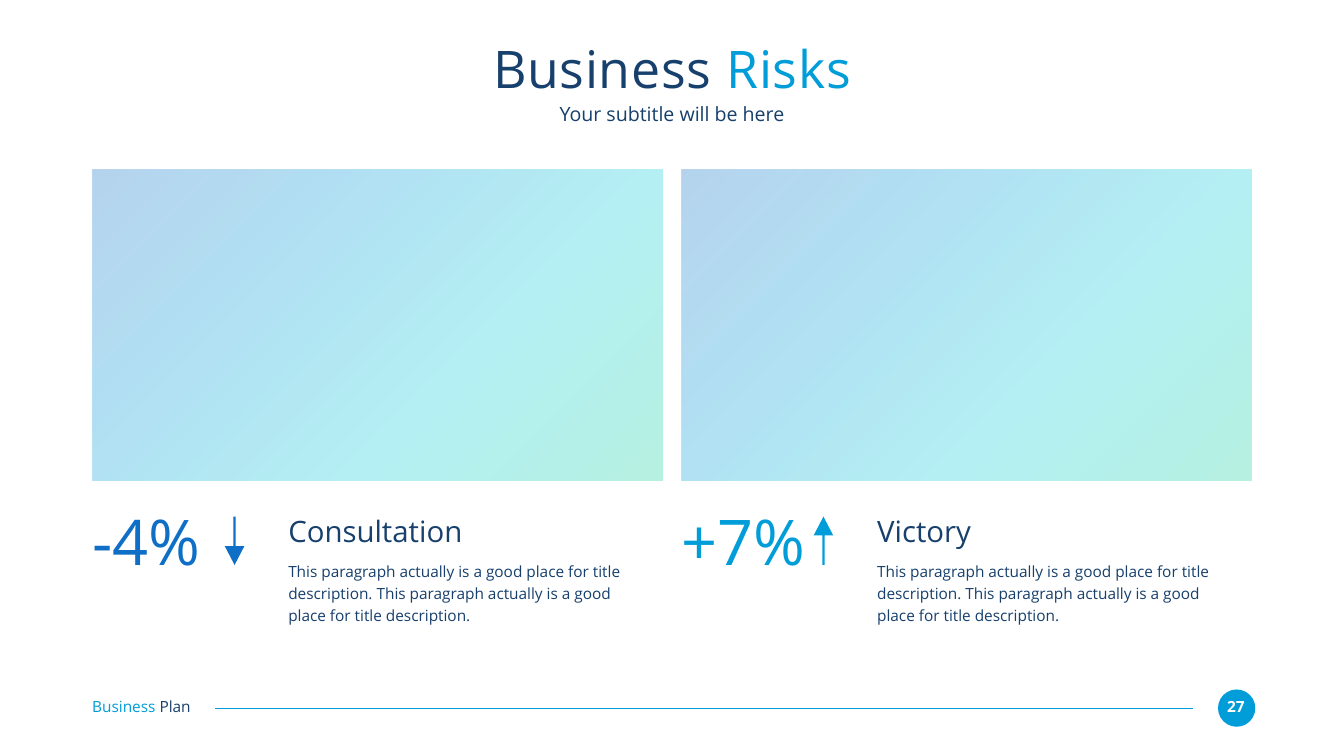
from lxml import etree
from pptx import Presentation, util as u
from pptx.dml.color import RGBColor
from pptx.enum import shapes, text
from pptx.oxml import parse_xml
from pptx.oxml.ns import nsdecls, qn

DESCRIPTION = ("This paragraph actually is a good place for title description. "
               "This paragraph actually is a good place for title description.")
TITLE = [("Business ", "navy"), ("Risks", "sky")]
SUBTITLE = "Your subtitle will be here"
RISKS = [
    {"change": "-4%", "color": "blue", "turn": 0, "heading": "Consultation"},
    {"change": "+7%", "color": "sky", "turn": 180, "heading": "Victory"},
]
FOOTER = [("Business ", "sky"), ("Plan", "navy")]
PAGE = "27"

THEME = {
    "font": "Open Sans",
    "colors": {"navy": "17406D", "sky": "009DD9", "blue": "0F6FC6", "white": "FFFFFF"},
    "sizes": {"title": 74, "subtitle": 28, "change": 90, "heading": 42, "body": 22},
    "gradient": [(0, "0F6FC6"), (33, "009DD9"), (66, "0BD0D9"), (100, "10CF9B")],
    "opacity": 30,
}

WIDTH, HEIGHT = 26.67, 15
MARGIN, GAP = 1.83, 0.36
CONTENT = WIDTH - 2 * MARGIN
COLUMN = (CONTENT - GAP) / 2
ROWS = {"title": 0.73, "subtitle": 2.03, "panel": 3.36, "change": 9.98,
        "heading": 10.19, "arrow": 10.25, "body": 11.07, "footer": 13.84}
ARROW_INDENT, TEXT_INDENT, TEXT_WIDTH = 2.63, 3.89, 6.92
BADGE = 0.74
FOOTER_AXIS = 14.05


def inches(*lengths):
    return [u.Inches(length) for length in lengths]


def color(name):
    return RGBColor.from_string(THEME["colors"][name])


def add_text(slide, box, runs, size, align="LEFT", line_spacing=None, spacing=0, bold=None):
    """Add one paragraph made of (wording, color name) runs."""
    frame = slide.shapes.add_textbox(*inches(*box)).text_frame
    frame_format = {"margin_left": 0, "margin_right": 0, "margin_top": 0,
                    "margin_bottom": 0, "word_wrap": True}
    for name, value in frame_format.items():
        setattr(frame, name, value)
    paragraph = frame.paragraphs[0]
    paragraph.alignment = getattr(text.PP_ALIGN, align)
    paragraph.line_spacing = line_spacing
    for wording, color_name in runs:
        run = paragraph.add_run()
        run.text = wording
        run_format = {"name": THEME["font"], "size": u.Pt(THEME["sizes"][size]), "bold": bold}
        for name, value in run_format.items():
            setattr(run.font, name, value)
        run.font.color.rgb = color(color_name)
        if spacing:
            run.font._element.set("spc", str(spacing * 100))


def add_shape(slide, kind, box, fill=None):
    shape = slide.shapes.add_shape(kind, *inches(*box))
    shape.shadow.inherit = False
    shape.line.fill.background()
    if fill:
        shape.fill.solid()
        shape.fill.fore_color.rgb = color(fill)
    return shape


def add_panel(slide, box):
    """Add a rectangle with the translucent diagonal gradient."""
    panel = add_shape(slide, shapes.MSO_SHAPE.RECTANGLE, box)
    stops = "".join(
        f'<a:gs pos="{place * 1000}"><a:srgbClr val="{value}">'
        f'<a:alpha val="{THEME["opacity"] * 1000}"/></a:srgbClr></a:gs>'
        for place, value in THEME["gradient"])
    gradient = parse_xml(f'<a:gradFill {nsdecls("a")} rotWithShape="1"><a:gsLst>{stops}</a:gsLst>'
                         '<a:lin ang="2700000" scaled="0"/></a:gradFill>')
    panel._element.spPr.find(qn("a:prstGeom")).addnext(gradient)


def add_risk(slide, left, risk):
    add_panel(slide, (left, ROWS["panel"], COLUMN, 6.18))
    add_text(slide, (left, ROWS["change"], 2.55, 1.51), [(risk["change"], risk["color"])], "change")
    arrow = add_shape(slide, shapes.MSO_SHAPE.DOWN_ARROW,
                      (left + ARROW_INDENT, ROWS["arrow"], 0.39, 0.96), risk["color"])
    arrow.adjustments[0], arrow.adjustments[1] = 0.11, 0.96
    arrow.rotation = risk["turn"]
    text_left = left + TEXT_INDENT
    add_text(slide, (text_left, ROWS["heading"], TEXT_WIDTH, 0.71),
             [(risk["heading"], "navy")], "heading")
    add_text(slide, (text_left, ROWS["body"], TEXT_WIDTH, 1.33),
             [(DESCRIPTION, "navy")], "body", line_spacing=1.2)


def add_footer(slide):
    add_text(slide, (MARGIN, ROWS["footer"], 2.59, 0.37), FOOTER, "body")
    rule = slide.shapes.add_connector(shapes.MSO_CONNECTOR.STRAIGHT,
                                      *inches(4.27, FOOTER_AXIS, 23.67, FOOTER_AXIS))
    rule.line.color.rgb = color("sky")
    rule.line.width = u.Pt(1.5)
    etree.SubElement(rule._element.spPr, qn("a:effectLst"))
    add_shape(slide, shapes.MSO_SHAPE.OVAL,
              (24.17, FOOTER_AXIS - BADGE / 2, BADGE, BADGE), "sky")
    add_text(slide, (24.23, ROWS["footer"], 0.59, 0.37), [(PAGE, "white")], "body",
             align="CENTER", bold=True)


def main():
    presentation = Presentation()
    presentation.slide_width, presentation.slide_height = inches(WIDTH, HEIGHT)
    slide = presentation.slides.add_slide(presentation.slide_layouts[6])
    add_text(slide, (MARGIN, ROWS["title"], CONTENT, 1.27), TITLE, "title",
             align="CENTER", spacing=1)
    add_text(slide, (MARGIN, ROWS["subtitle"], CONTENT, 0.49), [(SUBTITLE, "navy")],
             "subtitle", align="CENTER")
    for index, risk in enumerate(RISKS):
        add_risk(slide, MARGIN + index * (COLUMN + GAP), risk)
    add_footer(slide)
    presentation.save("out.pptx")


if __name__ == "__main__":
    main()
